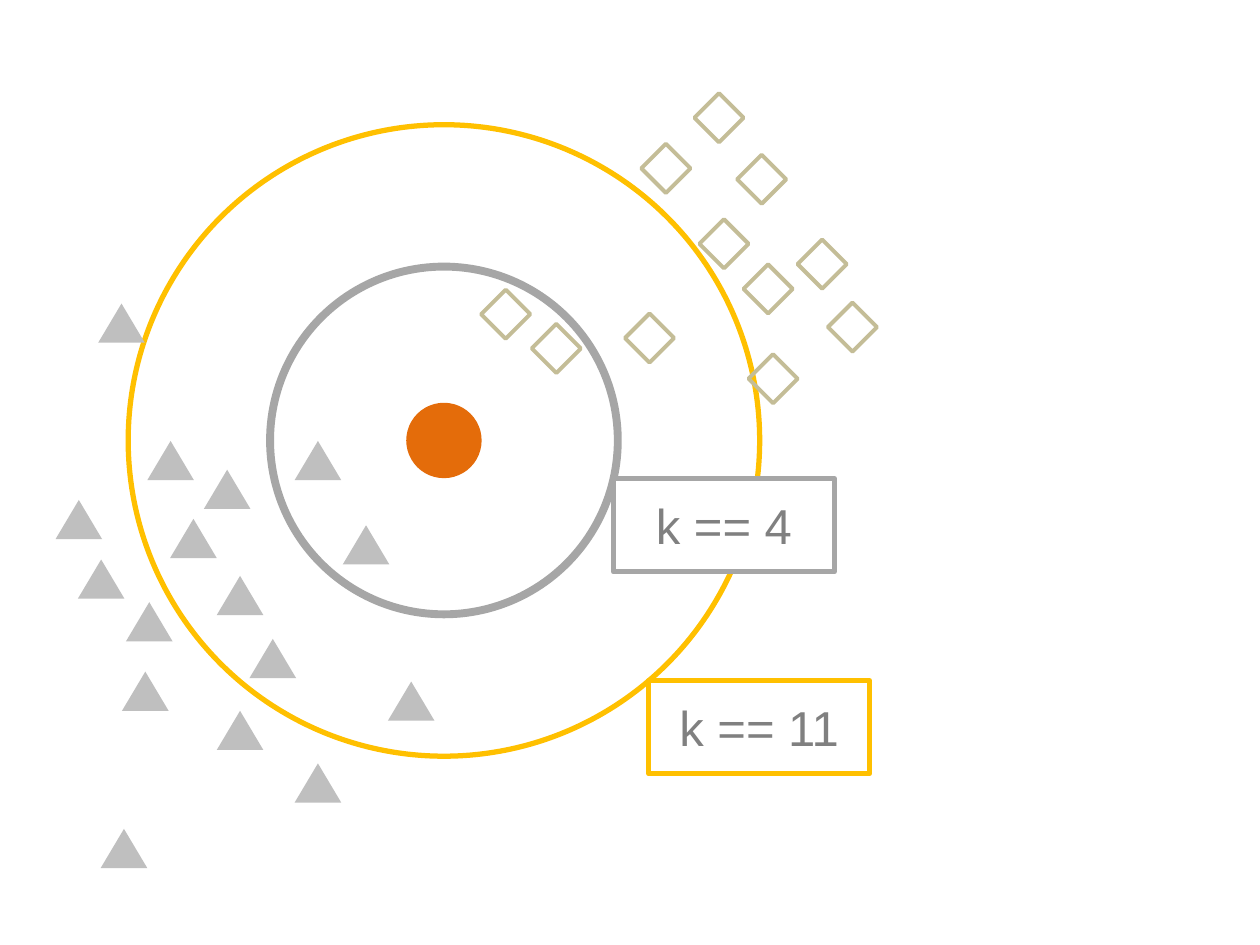
import pptx
import pptx.util
import pptx.dml.color
import pptx.enum.shapes
import pptx.enum.text

Cm, Pt = pptx.util.Cm, pptx.util.Pt
SHAPE = pptx.enum.shapes.MSO_SHAPE

COLORS = {
    "gold": "FFC000",
    "gray": "A6A6A6",
    "white": "FFFFFF",
    "text": "808080",
    "query": "E46C0A",
    "triangle": "BFBFBF",
    "diamond": "C4BD97",
}

CENTER = (8.95, 8.88)
QUERY_DIAMETER = 1.52
NEIGHBORHOODS = [(12.73, "gold", 3), (7.01, "gray", 4.5)]

LABEL_SIZE = (4.45, 1.88)
LABELS = [
    ("k == 11", 13.08, 13.72, None, "gold"),
    ("k == 4", 12.37, 9.65, "white", "gray"),
]

TRIANGLE_SIZE = (0.94, 0.79)
TRIANGLES = [
    (2.46, 13.54), (2.03, 16.71), (1.12, 10.08), (1.57, 11.28),
    (2.54, 12.14), (6.91, 10.59), (3.43, 10.46), (7.82, 13.74),
    (5.03, 12.88), (5.94, 8.89), (4.37, 11.61), (4.11, 9.47),
    (1.98, 6.12), (5.94, 15.39), (2.97, 8.89), (4.37, 14.33),
]

DIAMOND_SIZE = (0.99, 0.99)
DIAMONDS = [
    (9.7, 5.84), (10.72, 6.53), (12.6, 6.32), (12.93, 2.9),
    (14.1, 4.42), (15.09, 7.14), (16.08, 4.83), (14.86, 3.12),
    (14.99, 5.33), (16.69, 6.1), (14, 1.88),
]


def rgb(name):
    return pptx.dml.color.RGBColor.from_string(COLORS[name])


def add_shape(s, kind, pos, size, fill=None, line=None, width=0):
    sp = s.shapes.add_shape(kind, *(Cm(v) for v in (*pos, *size)))
    sp.shadow.inherit = False
    if fill:
        sp.fill.solid()
        sp.fill.fore_color.rgb = rgb(fill)
    else:
        sp.fill.background()
    if line:
        sp.line.color.rgb = rgb(line)
        sp.line.width = Pt(width)
    else:
        sp.line.fill.background()
    return sp


def add_circle(s, diameter, **style):
    pos = [c - diameter / 2 for c in CENTER]
    return add_shape(s, SHAPE.OVAL, pos, (diameter, diameter), **style)


def add_label(s, text, left, top, fill, line):
    sp = add_shape(s, SHAPE.RECTANGLE, (left, top), LABEL_SIZE, fill, line, 3)
    tf = sp.text_frame
    tf.vertical_anchor = pptx.enum.text.MSO_ANCHOR.MIDDLE
    p = tf.paragraphs[0]
    p.text = text
    p.alignment = pptx.enum.text.PP_ALIGN.CENTER
    p.font.name = "Arial"
    p.font.size = Pt(28)
    p.font.color.rgb = rgb("text")


def main():
    prs = pptx.Presentation()
    prs.slide_width, prs.slide_height = Cm(25.4), Cm(19.05)
    s = prs.slides.add_slide(prs.slide_layouts[6])

    for diameter, color, width in NEIGHBORHOODS:
        add_circle(s, diameter, line=color, width=width)
    for label in LABELS:
        add_label(s, *label)
    add_circle(s, QUERY_DIAMETER, fill="query")
    for pos in TRIANGLES:
        add_shape(s, SHAPE.ISOSCELES_TRIANGLE, pos, TRIANGLE_SIZE, fill="triangle")
    for pos in DIAMONDS:
        add_shape(s, SHAPE.DIAMOND, pos, DIAMOND_SIZE, line="diamond", width=2.25)

    prs.save("out.pptx")


if __name__ == "__main__":
    main()
